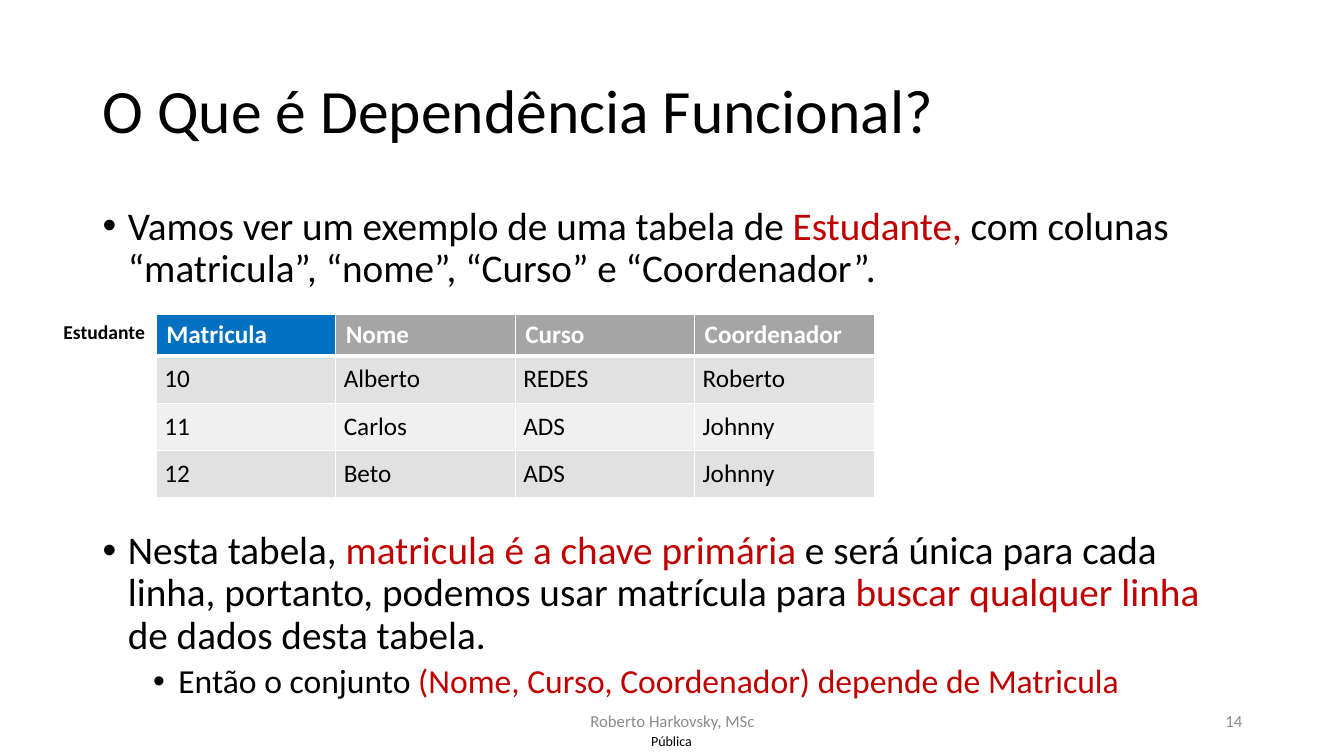
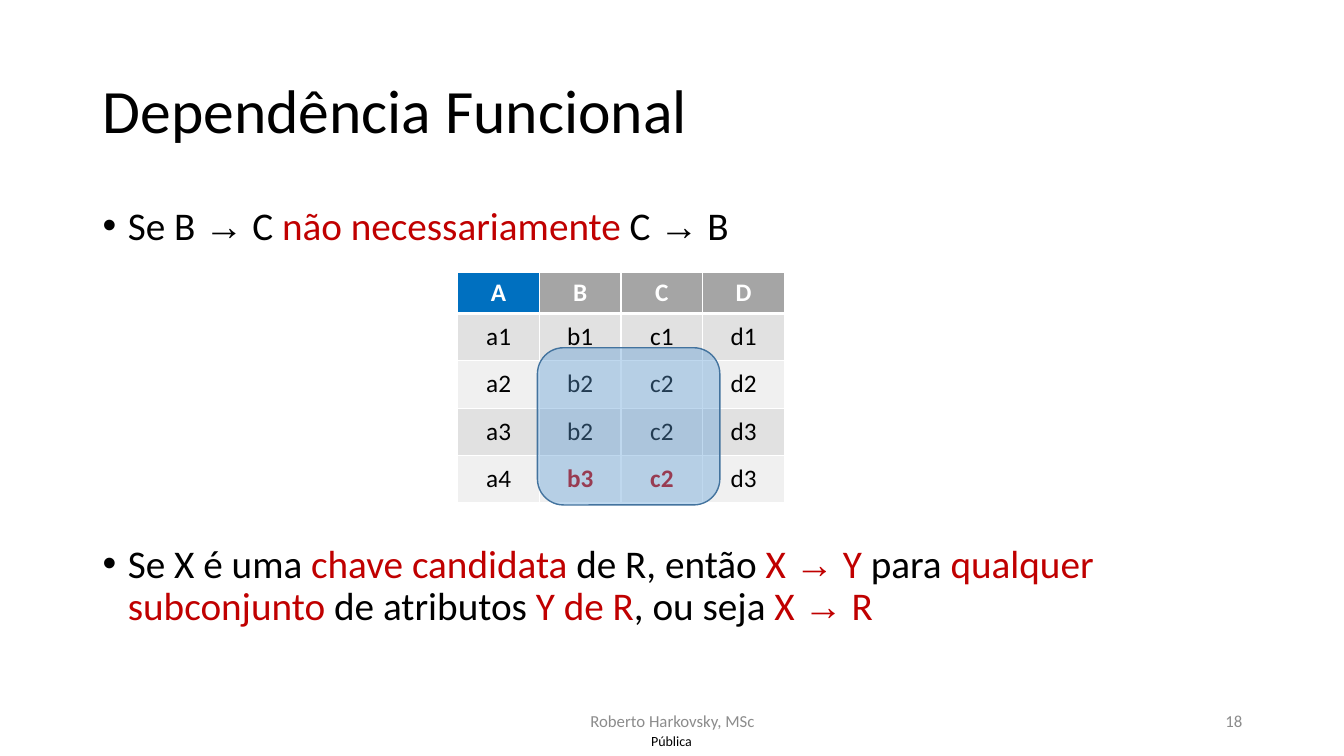
from itertools import groupby

from lxml import etree
from pptx import Presentation
from pptx.dml.color import RGBColor
from pptx.enum.shapes import MSO_SHAPE as SHAPE
from pptx.enum.text import MSO_ANCHOR as ANCHOR, PP_ALIGN as ALIGN
from pptx.oxml.ns import qn
from pptx.util import Inches, Pt

BLACK = RGBColor(0x00, 0x00, 0x00)
WHITE = RGBColor(0xFF, 0xFF, 0xFF)
RED = RGBColor(0xC0, 0x00, 0x00)
GRAY = RGBColor(0x8C, 0x8C, 0x8C)
KEY_BLUE = RGBColor(0x00, 0x70, 0xC0)
HEAD_GRAY = RGBColor(0xA5, 0xA5, 0xA5)
BAND_DARK = RGBColor(0xE1, 0xE1, 0xE1)
BAND_LIGHT = RGBColor(0xF0, 0xF0, 0xF0)
MARK_FILL = RGBColor(0x5B, 0x9B, 0xD5)
MARK_LINE = RGBColor(0x43, 0x73, 0x9E)


class Deck:
    FONT = "Calibri"
    ARROW_FONT = "Arial"
    LEFT, WIDTH = 0.92, 11.5
    HEAD_HEIGHT, ROW_HEIGHT = 0.41, 0.47
    CELL_INSET = 0.08

    def __init__(self):
        self.prs = Presentation()
        self.prs.slide_width = Inches(13.33)
        self.prs.slide_height = Inches(7.5)
        self.s = None

    def slide(self, title, number):
        self.s = self.prs.slides.add_slide(self.prs.slide_layouts[6])
        self.text("Pública", 6.31, 7.21, 0.7, 0.29, 10, align=ALIGN.CENTER, inset=0)
        p = self.text(title, self.LEFT, 0.4, self.WIDTH, 1.45, 44)
        p.line_spacing = 0.9
        self.text("Roberto Harkovsky, MSc", 4.42, 6.95, 4.5, 0.4, 12, GRAY, ALIGN.CENTER)
        self.text(str(number), 9.42, 6.95, 3, 0.4, 12, GRAY, ALIGN.RIGHT)

    def box(self, x, y, w, h, anchor=ANCHOR.TOP):
        sp = self.s.shapes.add_textbox(Inches(x), Inches(y), Inches(w), Inches(h))
        tf = sp.text_frame
        tf.word_wrap = True
        tf.vertical_anchor = anchor
        return tf

    def text(self, text, x, y, w, h, size, color=BLACK, align=ALIGN.LEFT,
             inset=None, bold=False, wrap=True):
        tf = self.box(x, y, w, h, ANCHOR.MIDDLE)
        tf.word_wrap = wrap
        if inset is not None:
            self.margins(tf, inset)
        p = tf.paragraphs[0]
        p.alignment = align
        self.rich(p, text, size, color, bold)
        return p

    def margins(self, target, inset):
        target.margin_left = target.margin_right = Inches(inset)
        target.margin_top = target.margin_bottom = Inches(inset)

    def rich(self, p, text, size, color=BLACK, bold=False, bold_marks=False):
        for i, part in enumerate(text.split("*")):
            marked = i % 2 == 1
            for is_arrow, chars in groupby(part, lambda ch: ch == "→"):
                r = p.add_run()
                r.text = "".join(chars)
                r.font.name = self.ARROW_FONT if is_arrow else self.FONT
                r.font.size = Pt(size)
                r.font.bold = bold or (marked and bold_marks)
                r.font.color.rgb = RED if marked else color

    def bullets(self, items, height):
        tf = self.box(self.LEFT, 2, self.WIDTH, height)
        for i, (text, level, space) in enumerate(items):
            p = tf.add_paragraph() if i else tf.paragraphs[0]
            pPr = p._p.get_or_add_pPr()
            pPr.set("marL", str(Inches(0.25 + 0.5 * level)))
            pPr.set("indent", str(Inches(-0.25)))
            etree.SubElement(pPr, qn("a:buFont")).set("typeface", "Arial")
            etree.SubElement(pPr, qn("a:buChar")).set("char", "•")
            p.level = level
            p.line_spacing = 0.9
            p.space_before = Pt(space)
            self.rich(p, text, 28 - 4 * level)

    def borders(self, cell, top, bottom):
        tcPr = cell._tc.get_or_add_tcPr()
        for side, width in (("L", 1), ("R", 1), ("T", top), ("B", bottom)):
            ln = etree.SubElement(tcPr, qn(f"a:ln{side}"), w=str(Pt(width)))
            fill = etree.SubElement(ln, qn("a:solidFill"))
            etree.SubElement(fill, qn("a:srgbClr"), val=str(WHITE))

    def table(self, rows, x, y, col_width, align=ALIGN.LEFT):
        n_rows, n_cols = len(rows), len(rows[0])
        height = self.HEAD_HEIGHT + self.ROW_HEIGHT * (n_rows - 1)
        table = self.s.shapes.add_table(n_rows, n_cols, Inches(x), Inches(y),
                                        Inches(col_width * n_cols), Inches(height)).table
        for col in table.columns:
            col.width = Inches(col_width)
        for i, row in enumerate(rows):
            head = i == 0
            table.rows[i].height = Inches(self.HEAD_HEIGHT if head else self.ROW_HEIGHT)
            for j, value in enumerate(row):
                cell = table.cell(i, j)
                self.borders(cell, 3 if i == 1 else 1, 3 if head else 1)
                cell.fill.solid()
                if head:
                    cell.fill.fore_color.rgb = HEAD_GRAY if j else KEY_BLUE
                else:
                    cell.fill.fore_color.rgb = BAND_DARK if i % 2 else BAND_LIGHT
                    self.margins(cell, self.CELL_INSET)
                p = cell.text_frame.paragraphs[0]
                p.alignment = align
                self.rich(p, value, 18, WHITE if head else BLACK, head, bold_marks=True)

    def highlight(self, x, y, w, h):
        sp = self.s.shapes.add_shape(SHAPE.ROUNDED_RECTANGLE, Inches(x), Inches(y),
                                     Inches(w), Inches(h))
        sp.shadow.inherit = False
        sp.fill.solid()
        sp.fill.fore_color.rgb = MARK_FILL
        color = sp._element.spPr.find(qn("a:solidFill"))[0]
        etree.SubElement(color, qn("a:alpha"), val="39000")
        sp.line.color.rgb = MARK_LINE
        sp.line.width = Pt(1)


def main():
    deck = Deck()

    deck.slide("O Que é Dependência Funcional?", 14)
    deck.bullets([
        ("Vamos ver um exemplo de uma tabela de *Estudante,* com colunas "
         "“matricula”, “nome”, “Curso” e “Coordenador”.", 0, 0),
        ("Nesta tabela, *matricula é a chave primária *e será única para cada linha, "
         "portanto, podemos usar matrícula para *buscar qualquer linha *"
         "de dados desta tabela.", 0, 171),
        ("Então o conjunto *(Nome, Curso, Coordenador) depende de Matricula*", 1, 5),
    ], 5.22)
    deck.table([
        ("Matricula", "Nome", "Curso", "Coordenador"),
        ("10", "Alberto", "REDES", "Roberto"),
        ("11", "Carlos", "ADS", "Johnny"),
        ("12", "Beto", "ADS", "Johnny"),
    ], 1.55, 3.12, 1.78)
    deck.text("Estudante", 0.53, 3.12, 1.02, 0.34, 14, bold=True, wrap=False)

    deck.slide("Dependência Funcional", 18)
    deck.bullets([
        ("Se B → C *não necessariamente *C → B", 0, 0),
        ("Se X é uma *chave candidata *de R, então *X → Y *para "
         "*qualquer subconjunto* de atributos *Y de R*, ou seja *X → R*", 0, 211),
    ], 4.76)
    deck.table([
        ("A", "B", "C", "D"),
        ("a1", "b1", "c1", "d1"),
        ("a2", "b2", "c2", "d2"),
        ("a3", "b2", "c2", "d3"),
        ("a4", "*b3*", "*c2*", "d3"),
    ], 4.54, 2.7, 0.81, ALIGN.CENTER)
    deck.highlight(5.33, 3.45, 1.81, 1.56)

    deck.prs.save("out.pptx")


if __name__ == "__main__":
    main()
